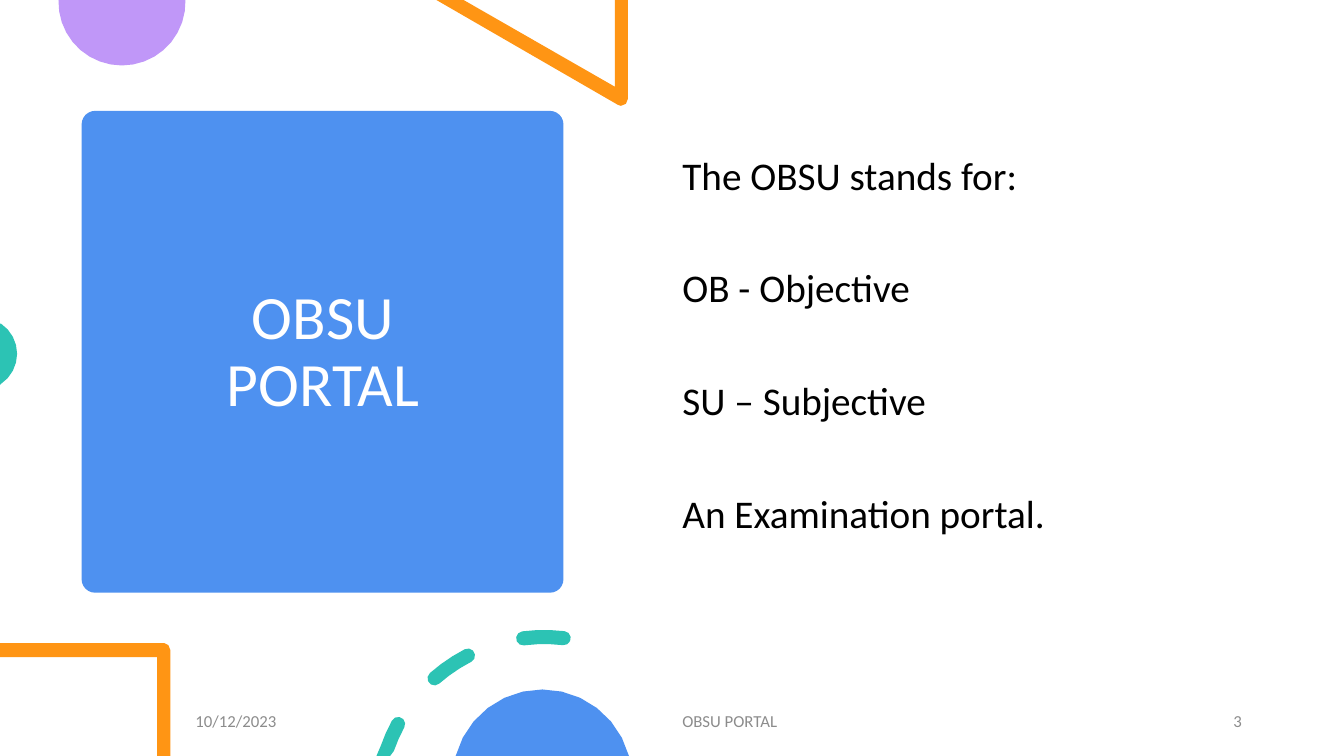
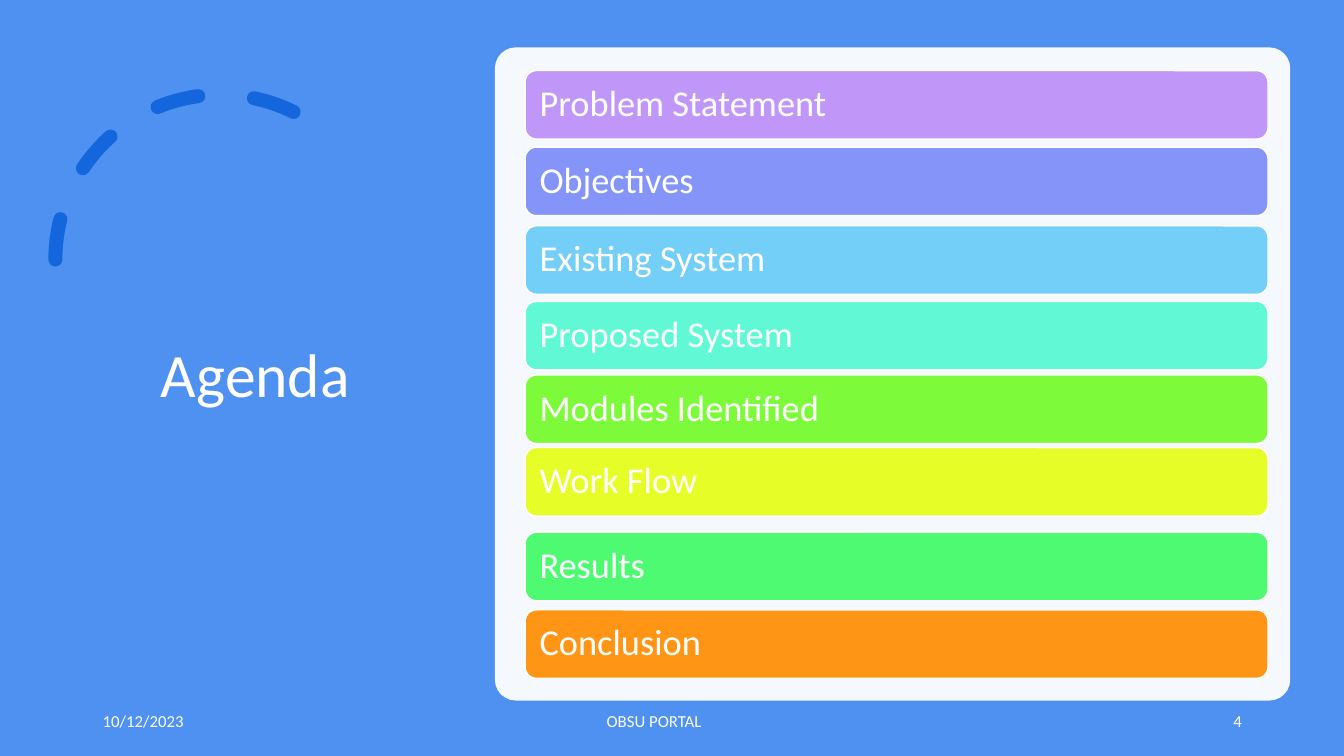
"""Build the portal introduction and agenda slides."""
from math import cos, radians, sin

from lxml.etree import SubElement
from pptx import Presentation
from pptx.dml.color import RGBColor
from pptx.enum.dml import MSO_LINE
from pptx.enum.shapes import MSO_SHAPE as Shape
from pptx.enum.text import MSO_ANCHOR as Anchor, MSO_AUTO_SIZE as AutoSize, PP_ALIGN as Align
from pptx.oxml.ns import qn
from pptx.util import Inches, Pt

WIDTH, HEIGHT = 40 / 3, 7.5
FONT = "Calibri"
WHITE, BLACK, GREY = "FFFFFF", "000000", "8C8C8C"
BLUE, DARK_BLUE, PURPLE, ORANGE, TEAL = "4E91F0", "1366DC", "C097F8", "FF9514", "2CC3B4"

DATE, FOOTER = "10/12/2023", "OBSU PORTAL"
MEANINGS = ["The OBSU stands for:", "OB - Objective", "SU – Subjective", "An Examination portal."]
AGENDA = [
    ("Problem Statement", PURPLE, 0.7),
    ("Objectives", "8594F8", 1.46),
    ("Existing System", "73CEF8", 2.24),
    ("Proposed System", "61F9D5", 2.99),
    ("Modules Identified", "7DFB3B", 3.72),
    ("Work Flow", "E7FD28", 4.44),
    ("Results", "4EFA72", 5.28),
    ("Conclusion", ORANGE, 6.05),
]
TRIANGLE = [(4.33, 0), (6.13, 1.04), (6.16, 1.05), (6.21, 1.03), (6.23, 0.98),
            (6.23, 0), (6.1, 0), (6.1, 0.86), (4.6, 0)]
SQUARE = [(0, 6.38), (1.63, 6.38), (1.67, 6.4), (1.69, 6.45), (1.69, 7.5),
          (1.56, 7.5), (1.56, 6.52), (0, 6.52)]


def rgb(code):
    """Turn a hex string into a colour."""
    return RGBColor.from_string(code)


def paint(shape, fill=None, line=None, width=1):
    """Set the fill and outline of a shape and drop its shadow."""
    shape.shadow.inherit = False
    if fill:
        shape.fill.solid()
        shape.fill.fore_color.rgb = rgb(fill)
    else:
        shape.fill.background()
    if line:
        shape.line.color.rgb = rgb(line)
        shape.line.width = Pt(width)
    else:
        shape.line.fill.background()


def write(frame, *lines, size=12, color=WHITE, align=Align.LEFT, anchor=Anchor.MIDDLE,
          leading=None, gap=0, after=0):
    """Fill a text frame with formatted paragraphs."""
    frame.word_wrap = True
    frame.auto_size = AutoSize.NONE
    frame.vertical_anchor = anchor
    for index, line in enumerate(lines):
        para = frame.add_paragraph() if index else frame.paragraphs[0]
        para.text = line
        para.alignment = align
        para.line_spacing = leading
        para.space_before = Pt(gap if index else 0)
        para.space_after = Pt(after)
        for span in para.runs:
            span.font.name = FONT
            span.font.size = Pt(size)
            span.font.color.rgb = rgb(color)


def place(box, left, top, width, height):
    """Move and size a shape, in inches."""
    box.left, box.top, box.width, box.height = map(Inches, (left, top, width, height))


def add_shape(page, kind, area, **look):
    """Add a painted preset shape."""
    shape = page.shapes.add_shape(kind, *map(Inches, area))
    paint(shape, **look)
    return shape


def add_outline(page, *contours, fill):
    """Add one filled freeform from contours given in inches."""
    builder = None
    for contour in contours:
        corners = [(Inches(x), Inches(y)) for x, y in contour]
        if builder is None:
            builder = page.shapes.build_freeform(*corners[0])
        else:
            builder.move_to(*corners[0])
        builder.add_line_segments(corners[1:], close=True)
    paint(builder.convert_to_shape(), fill=fill)


def arc_points(x, y, radius, start, end, steps=12):
    """List points along a circle between two angles."""
    angles = [radians(start + (end - start) * step / steps) for step in range(steps + 1)]
    return [(x + radius * cos(angle), y + radius * sin(angle)) for angle in angles]


def dash_points(x, y, radius, start, end, half=0.07):
    """List the outline of a round-ended dash, cut at the slide's bottom."""
    (first, last) = arc_points(x, y, radius, start, end, steps=1)
    points = (arc_points(x, y, radius + half, start, end, steps=3)
              + arc_points(*last, half, end, end + 180, steps=5)[1:-1]
              + arc_points(x, y, radius - half, end, start, steps=3)
              + arc_points(*first, half, start + 180, start + 360, steps=5)[1:-1])
    return [(left, min(top, HEIGHT)) for left, top in points]


def add_title(page, text, area):
    """Place the title in front of the shapes drawn so far."""
    title = page.shapes.title
    page.shapes.element.append(title.element)
    place(title, *area)
    write(title.text_frame, text, size=44, align=Align.CENTER, leading=0.9)


def add_footers(page, number, color, spans):
    """Write the date, footer and page number in their spans."""
    aligns = (Align.LEFT, Align.LEFT, Align.RIGHT)
    for text, align, (left, width) in zip((DATE, FOOTER, number), aligns, spans):
        box = page.shapes.add_textbox(Inches(left), Inches(6.95), Inches(width), Inches(0.4))
        write(box.text_frame, text, color=color, align=align, after=6)


def add_page(deck, layout, background):
    """Add a slide with a plain background."""
    page = deck.slides.add_slide(deck.slide_layouts[layout])
    page.background.fill.solid()
    page.background.fill.fore_color.rgb = rgb(background)
    return page


def add_decorations(page):
    """Draw the coloured outlines around the slide's edges."""
    add_outline(page, arc_points(1.21, 0.02, 0.63, -1.8, 181.8, steps=18), fill=PURPLE)
    add_outline(page, TRIANGLE, fill=ORANGE)
    add_outline(page, [(0, 3.21), *arc_points(-0.19, 3.51, 0.36, -56, 56, steps=8), (0, 3.82)],
                fill=TEAL)
    add_outline(page, SQUARE, fill=ORANGE)
    dashes = [dash_points(5.4, 7.97, 1.65, start, start + 14) for start in (194.5, 228.7, 262.7)]
    add_outline(page, *dashes, fill=TEAL)
    add_outline(page, arc_points(5.38, 7.73, 0.89, 195, 345), fill=BLUE)


def build_portal(deck):
    """Build the slide that explains the portal's name."""
    page = add_page(deck, 1, WHITE)
    card = add_shape(page, Shape.ROUNDED_RECTANGLE, (0.81, 1.1, 4.78, 4.78), fill=BLUE)
    card.adjustments[0] = 0.028
    add_title(page, "OBSU\vPORTAL", (1.05, 1.22, 4.31, 4.56))
    add_decorations(page)
    body = page.placeholders[1]
    place(body, 6.67, 0.9, 5.75, 5.35)
    body.text_frame.margin_top = Inches(0.65)
    write(body.text_frame, *MEANINGS, size=28, color=BLACK, anchor=Anchor.TOP,
          leading=0.9, gap=50.2)
    for para in body.text_frame.paragraphs:
        props = para._p.get_or_add_pPr()
        props.set("marL", "0")
        props.set("indent", "0")
        SubElement(props, qn("a:buNone"))
    add_footers(page, "3", GREY, [(1.84, 1.69), (6.67, 4.71), (11.49, 0.93)])


def build_agenda(deck):
    """Build the slide that lists the agenda as bars."""
    page = add_page(deck, 5, BLUE)
    arc = add_shape(page, Shape.ARC, (0.55, 0.94, 3.27, 3.27), line=DARK_BLUE, width=10)
    arc.adjustments[0], arc.adjustments[1] = 146.13, 0
    arc.line.dash_style = MSO_LINE.DASH
    arc.line._get_or_add_ln().set("cap", "rnd")
    arc.element.spPr.get_or_add_xfrm().set("flipH", "1")
    add_title(page, "Agenda", (0.92, 0.7, 3.23, 6.09))
    panel = add_shape(page, Shape.ROUNDED_RECTANGLE, (4.91, 0.47, 7.89, 6.48), fill=WHITE)
    panel.adjustments[0] = 0.032
    color = panel.element.spPr.find(qn("a:solidFill")).find(qn("a:srgbClr"))
    SubElement(color, qn("a:alpha")).set("val", "95000")
    add_footers(page, "4", WHITE, [(0.92, 3), (5.92, 3), (9.42, 3)])
    for text, fill, top in AGENDA:
        bar = add_shape(page, Shape.ROUNDED_RECTANGLE, (5.21, top, 7.37, 0.68),
                        fill=fill, line=WHITE)
        bar.text_frame.margin_left = Inches(0.11)
        write(bar.text_frame, text, size=26, leading=0.9)


def main():
    """Build and save the deck."""
    deck = Presentation()
    deck.slide_width, deck.slide_height = Inches(WIDTH), Inches(HEIGHT)
    build_portal(deck)
    build_agenda(deck)
    deck.save("out.pptx")


if __name__ == "__main__":
    main()
